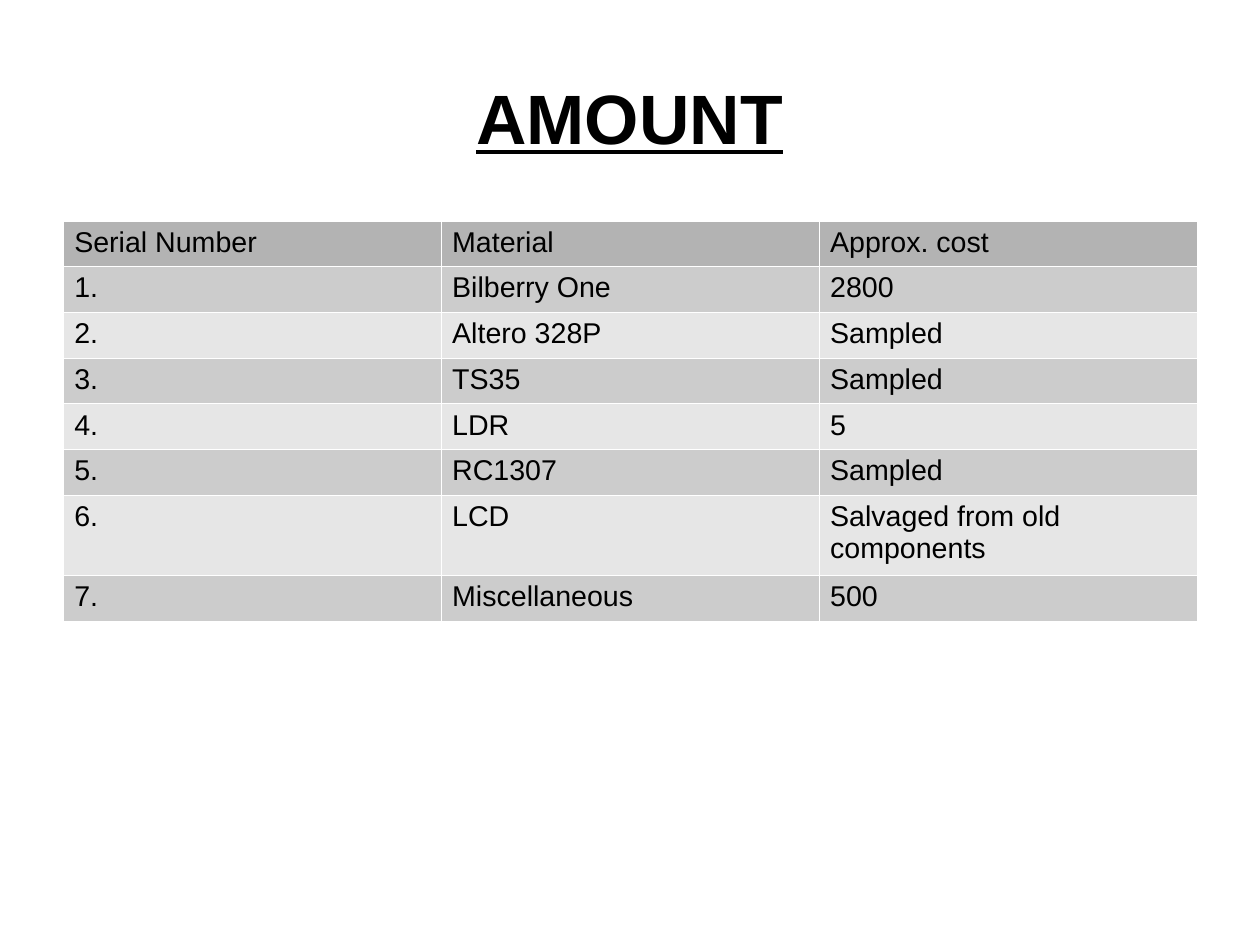
from lxml import etree
from pptx import Presentation
from pptx.dml.color import RGBColor
from pptx.enum import text
from pptx.oxml import ns
from pptx.util import Inches, Pt

COLORS = {"text": "000000", "border": "FFFFFF", "header": "B3B3B3",
          "odd": "CCCCCC", "even": "E6E6E6"}
FONT = "Arial"
CM_PER_INCH = 2.54
MATERIALS = [
    ("Serial Number", "Material", "Approx. cost"),
    ("1.", "Bilberry One", "2800"),
    ("2.", "Altero 328P", "Sampled"),
    ("3.", "TS35", "Sampled"),
    ("4.", "LDR", "5"),
    ("5.", "RC1307", "Sampled"),
    ("6.", "LCD", "Salvaged from old components"),
    ("7.", "Miscellaneous", "500"),
]
ROW_HEIGHT, TALL_ROW_HEIGHT, TALL_ROW = 0.4, 0.7, 6


def style_font(font, size):
    """Apply the shared typeface and text colour at the given size."""
    font.name = FONT
    font.size = Pt(size)
    font.color.rgb = RGBColor.from_string(COLORS["text"])


def add_title(slide, title_text, left, top, width, height):
    """Place the underlined title centred in its box."""
    title = slide.shapes.title
    title.left, title.top = Inches(left), Inches(top)
    title.width, title.height = Inches(width), Inches(height)
    frame = title.text_frame
    frame.text = title_text
    frame.vertical_anchor = text.MSO_ANCHOR.MIDDLE
    frame.margin_left = frame.margin_right = 0
    frame.margin_top = frame.margin_bottom = 0
    paragraph = frame.paragraphs[0]
    paragraph.alignment = text.PP_ALIGN.CENTER
    style_font(paragraph.font, 44)
    paragraph.font.bold = True
    paragraph.font.underline = True


def add_borders(cell):
    """Draw a hairline on all four sides of a cell."""
    properties = cell._tc.get_or_add_tcPr()
    for side in ("a:lnL", "a:lnR", "a:lnT", "a:lnB"):
        line = etree.SubElement(properties, ns.qn(side), w=str(Pt(0.06)))
        fill = etree.SubElement(line, ns.qn("a:solidFill"))
        etree.SubElement(fill, ns.qn("a:srgbClr"), val=COLORS["border"])


def style_cell(cell, fill_color):
    """Give a cell its margins, borders, fill and font."""
    cell.margin_left = cell.margin_right = Inches(0.1)
    cell.margin_top = cell.margin_bottom = Inches(0.05)
    add_borders(cell)
    cell.fill.solid()
    cell.fill.fore_color.rgb = RGBColor.from_string(fill_color)
    paragraph = cell.text_frame.paragraphs[0]
    style_font(paragraph.font, 18)
    paragraph.font.bold = False


def add_cost_table(slide, rows, left, top, width):
    """Fill the width with equal columns of materials and costs."""
    heights = [TALL_ROW_HEIGHT if index == TALL_ROW else ROW_HEIGHT
               for index in range(len(rows))]
    table = slide.shapes.add_table(
        len(rows), len(rows[0]), Inches(left), Inches(top),
        Inches(width), Inches(sum(heights))).table
    for column in table.columns:
        column.width = Inches(width / len(rows[0]))
    for row_index, values in enumerate(rows):
        table.rows[row_index].height = Inches(heights[row_index])
        band = "header" if row_index == 0 else "odd" if row_index % 2 else "even"
        for column_index, value in enumerate(values):
            cell = table.cell(row_index, column_index)
            cell.text = value
            style_cell(cell, COLORS[band])


def main():
    """Build and save the presentation."""
    presentation = Presentation()
    presentation.slide_width = Inches(28 / CM_PER_INCH)
    presentation.slide_height = Inches(21 / CM_PER_INCH)
    slide = presentation.slides.add_slide(presentation.slide_layouts[5])
    add_title(slide, "AMOUNT", 0.55, 0.33, 9.92, 1.38)
    add_cost_table(slide, MATERIALS, 0.55, 1.93, 9.92)
    presentation.save("out.pptx")


if __name__ == "__main__":
    main()
